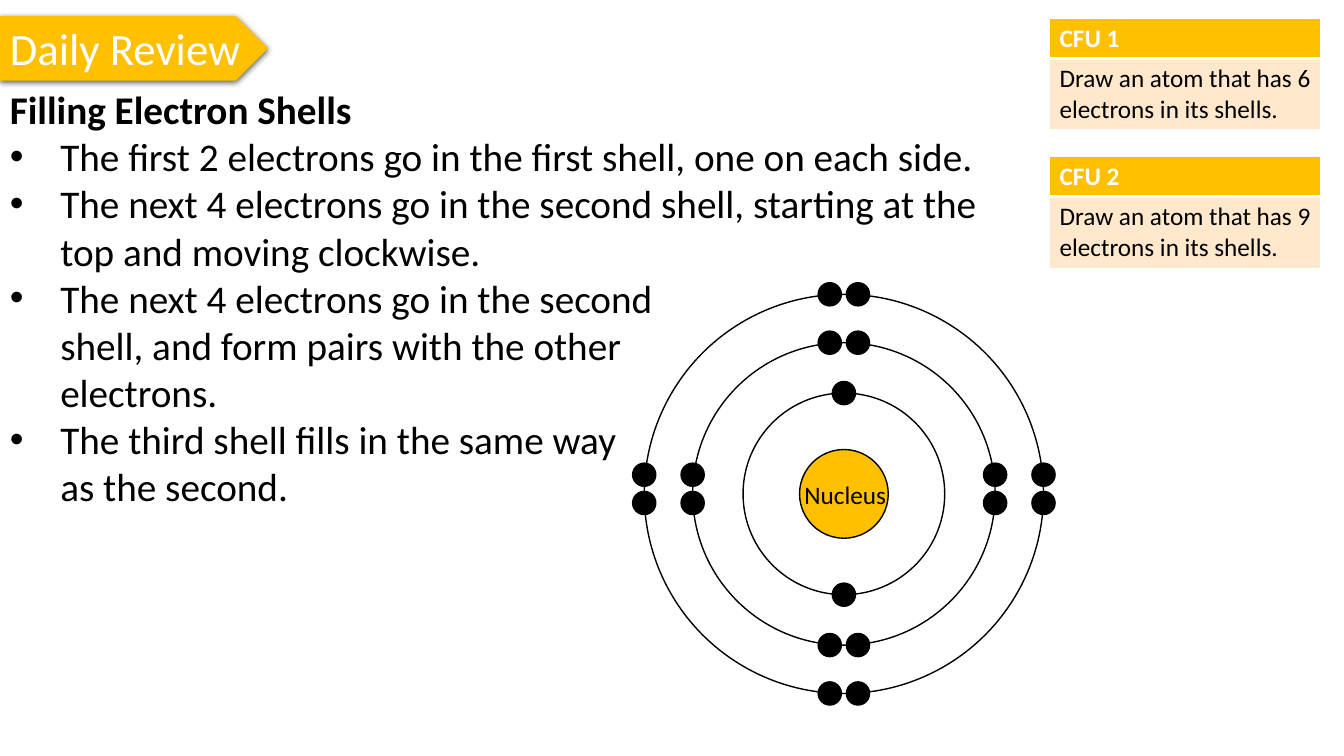
from lxml import etree
from pptx import Presentation
from pptx.dml.color import RGBColor
from pptx.enum.shapes import MSO_SHAPE as Shape
from pptx.enum.text import MSO_AUTO_SIZE as AutoSize, MSO_ANCHOR as Anchor, PP_ALIGN as Align
from pptx.oxml import parse_xml
from pptx.oxml.ns import qn
from pptx.util import Inches, Pt

COLORS = {"gold": "FFC000", "peach": "FFE8CC", "black": "000000", "white": "FFFFFF"}
FONT = "Calibri"
TITLE = "Daily Review"
HEADING = "Filling Electron Shells"
RULES = [
    ["The first 2 electrons go in the first shell, one on each side."],
    ["The next 4 electrons go in the second shell, starting at the top and moving clockwise."],
    ["The next 4 electrons go in the second", "shell, and form pairs with the other", "electrons."],
    ["The third shell fills in the same way", "as the second."],
]
CHECKS = [
    ("CFU 1", "Draw an atom that has 6 electrons in its shells."),
    ("CFU 2", "Draw an atom that has 9 electrons in its shells."),
]
CHECK_LEFT, CHECK_TOP, CHECK_WIDTH, CHECK_STEP = 10.41, 0.18, 2.69, 1.37
CHECK_ROWS = (0.39, 0.71)
CENTER_X, CENTER_Y = 8.37, 4.9
NUCLEUS_RADIUS = 0.44
SHELL_RADII = (1, 1.5, 1.98)
ELECTRON_RADIUS = 0.115
PAIR_OFFSET = 0.14
SIDE_RAISE = 0.05


def rgb(name):
    return RGBColor.from_string(COLORS[name])


def add_run(paragraph, text, size, color="black", bold=False):
    run = paragraph.add_run()
    run.text = text
    run.font.name = FONT
    run.font.size = Pt(size)
    run.font.bold = bold
    run.font.color.rgb = rgb(color)


def add_text_box(shapes, left, top, width, height, wrap):
    box = shapes.add_textbox(Inches(left), Inches(top), Inches(width), Inches(height))
    box.text_frame.word_wrap = wrap
    box.text_frame.auto_size = AutoSize.SHAPE_TO_FIT_TEXT
    return box.text_frame


def add_circle(shapes, x, y, radius, fill=None):
    circle = shapes.add_shape(Shape.OVAL, Inches(x - radius), Inches(y - radius),
                              Inches(2 * radius), Inches(2 * radius))
    circle.shadow.inherit = False
    circle.line.color.rgb = rgb("black")
    circle.line.width = Pt(1)
    if fill:
        circle.fill.solid()
        circle.fill.fore_color.rgb = rgb(fill)
    else:
        circle.fill.background()


def add_title(slide):
    banner = slide.shapes.add_shape(Shape.PENTAGON, Inches(0), Inches(0.16), Inches(2.66), Inches(0.64))
    banner.fill.solid()
    banner.fill.fore_color.rgb = rgb("gold")
    banner.line.fill.background()
    banner._element.spPr.append(parse_xml(
        '<a:effectLst xmlns:a="http://schemas.openxmlformats.org/drawingml/2006/main">'
        f'<a:outerShdw blurRad="{Pt(4.5)}" dist="{Pt(1.5)}" dir="5400000" rotWithShape="0">'
        f'<a:srgbClr val="{COLORS["black"]}"><a:alpha val="63000"/></a:srgbClr>'
        '</a:outerShdw></a:effectLst>'))
    frame = banner.text_frame
    frame.word_wrap = False
    frame.auto_size = AutoSize.SHAPE_TO_FIT_TEXT
    frame.vertical_anchor = Anchor.TOP
    frame.paragraphs[0].alignment = Align.LEFT
    add_run(frame.paragraphs[0], TITLE, 32, "white")


def add_rules(slide):
    frame = add_text_box(slide.shapes, 0, 0.8, 10.36, 4.81, True)
    add_run(frame.paragraphs[0], HEADING, 28, bold=True)
    for lines in RULES:
        paragraph = frame.add_paragraph()
        properties = paragraph._p.get_or_add_pPr()
        properties.set("marL", str(Inches(0.5)))
        properties.set("indent", str(Inches(-0.5)))
        etree.SubElement(properties, qn("a:buFont")).set("typeface", "Arial")
        etree.SubElement(properties, qn("a:buChar")).set("char", "•")
        for index, line in enumerate(lines):
            if index:
                paragraph.add_line_break()
            add_run(paragraph, line, 28)


def add_borders(cell, widths):
    properties = cell._tc.get_or_add_tcPr()
    for side, width in zip("LRTB", widths):
        border = etree.SubElement(properties, qn(f"a:ln{side}"), w=str(Pt(width)))
        fill = etree.SubElement(border, qn("a:solidFill"))
        etree.SubElement(fill, qn("a:srgbClr"), val=COLORS["white"])


def add_check(slide, top, texts):
    table = slide.shapes.add_table(2, 1, Inches(CHECK_LEFT), Inches(top),
                                   Inches(CHECK_WIDTH), Inches(sum(CHECK_ROWS))).table
    styles = [("gold", "white", True, (1, 1, 1, 3)), ("peach", "black", False, (1, 1, 3, 1))]
    for row, (text, height, style) in enumerate(zip(texts, CHECK_ROWS, styles)):
        fill, color, bold, widths = style
        table.rows[row].height = Inches(height)
        cell = table.cell(row, 0)
        add_borders(cell, widths)
        cell.fill.solid()
        cell.fill.fore_color.rgb = rgb(fill)
        add_run(cell.text_frame.paragraphs[0], text, 18, color, bold)


def electron_centers():
    for shell, radius in enumerate(SHELL_RADII):
        for side in (-1, 1):
            for offset in (-PAIR_OFFSET, PAIR_OFFSET) if shell else (0,):
                yield CENTER_X + offset, CENTER_Y + side * radius
                if shell:
                    yield CENTER_X + side * radius, CENTER_Y - SIDE_RAISE + offset


def add_atom(slide):
    for x, y in electron_centers():
        add_circle(slide.shapes, x, y, ELECTRON_RADIUS, "black")
    atom = slide.shapes.add_group_shape()
    add_circle(atom.shapes, CENTER_X, CENTER_Y, NUCLEUS_RADIUS, "gold")
    for radius in SHELL_RADII:
        add_circle(atom.shapes, CENTER_X, CENTER_Y, radius)
    label = add_text_box(atom.shapes, 7.88, 4.71, 1.02, 0.4, False)
    add_run(label.paragraphs[0], "Nucleus", 18)


def main():
    presentation = Presentation()
    presentation.slide_width = Inches(13.33)
    presentation.slide_height = Inches(7.5)
    slide = presentation.slides.add_slide(presentation.slide_layouts[6])
    add_title(slide)
    add_rules(slide)
    for index, texts in enumerate(CHECKS):
        add_check(slide, CHECK_TOP + index * CHECK_STEP, texts)
    add_atom(slide)
    presentation.save("out.pptx")


if __name__ == "__main__":
    main()
